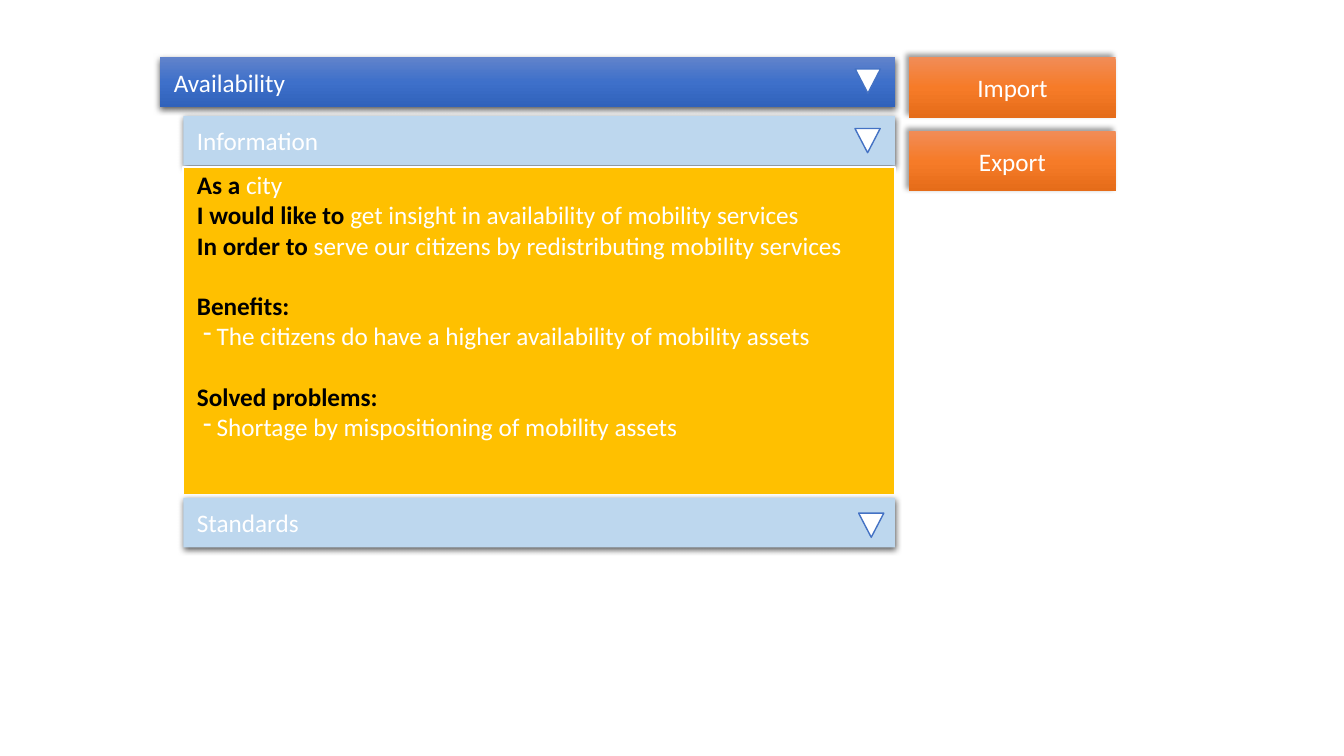
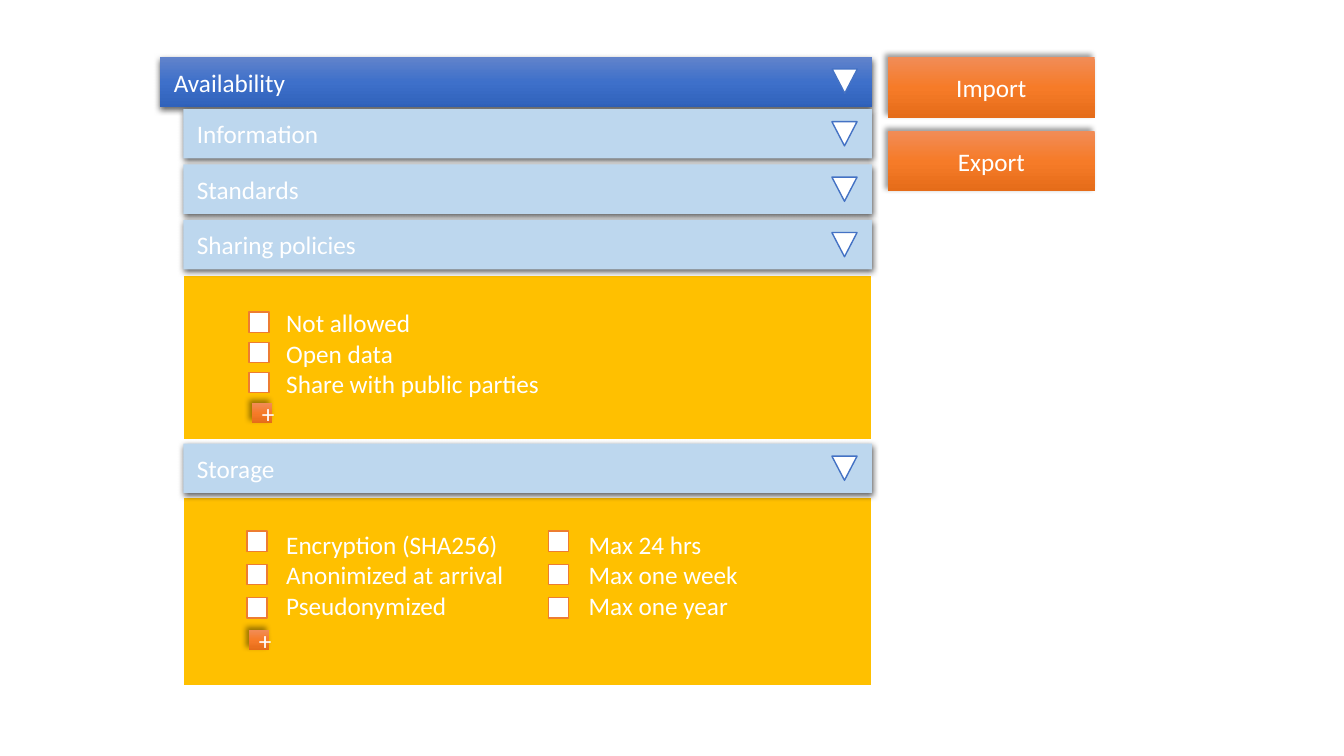
from copy import deepcopy

from lxml import etree
from pptx import Presentation
from pptx.dml.color import RGBColor
from pptx.enum import shapes, text
from pptx.oxml import ns
from pptx.util import Pt

COLORS = {
    "white": "FFFFFF", "black": "000000", "light": "BDD7EE",
    "panel": "FFC000", "blue": "4472C4", "orange": "ED7D31",
}
GRADIENTS = {
    "header": ("6183CB", "3E70CA", "3062BB"),
    "button": ("F18C57", "F67B28", "E56C19"),
}
# Opacity in percent, blur and distance in points, direction in degrees
SHADOWS = {
    "bar": (63, 4.5, 1.5, 90),
    "button": (40, 4, 3, 225),
}
FONT = {"name": "Calibri", "size": Pt(18)}
RECTANGLE = shapes.MSO_SHAPE.RECTANGLE
TRIANGLE = shapes.MSO_SHAPE.ISOSCELES_TRIANGLE
MIDDLE, TOP = text.MSO_ANCHOR.MIDDLE, text.MSO_ANCHOR.TOP

BAR_HEIGHT = 35.3
HEADER_LEFT, HEADER_TOP = 114.5, 41
ITEM_LEFT = 131
TEXT_INSET = 9.7
EDGE_INSET = 1.5
LINE_HEIGHT = 21.6
BUTTON_SIZE = (147.6, 43.2)
BUTTON_PITCH = 52.6
BOX_SIZE = 14.4


def color(name):
    return RGBColor.from_string(COLORS[name])


def add_xml(parent, tag, **attributes):
    return etree.SubElement(parent, ns.qn(tag), attributes)


class Menu:
    """Draws menu elements on the current slide; lengths are in points."""

    def __init__(self, presentation):
        self.presentation = presentation

    def new_slide(self, right):
        layout = self.presentation.slide_layouts[6]
        self.slide = self.presentation.slides.add_slide(layout)
        self.right = right

    def shape(self, kind, left, top, width, height, fill, line=None, weight=1, shadow=None):
        shape = self.slide.shapes.add_shape(kind, Pt(left), Pt(top), Pt(width), Pt(height))
        shape.shadow.inherit = False
        if fill in GRADIENTS:
            self.gradient(shape, GRADIENTS[fill])
        else:
            shape.fill.solid()
            shape.fill.fore_color.rgb = color(fill)
        if line:
            shape.line.color.rgb = color(line)
            shape.line.width = Pt(weight)
        else:
            shape.line.fill.background()
        if shadow:
            self.shadow(shape, *SHADOWS[shadow])
        return shape

    def gradient(self, shape, stops):
        shape.fill.gradient()
        shape.fill.gradient_angle = 270
        stop_list = shape.element.spPr.find(".//" + ns.qn("a:gsLst"))
        stop_list.insert(1, deepcopy(stop_list[0]))
        for index, stop in enumerate(shape.fill.gradient_stops):
            stop.position = index / 2
            stop.color.rgb = RGBColor.from_string(stops[index])

    def shadow(self, shape, opacity, blur, distance, direction):
        effects = shape.element.spPr.find(ns.qn("a:effectLst"))
        outer = add_xml(effects, "a:outerShdw", blurRad=str(Pt(blur)), dist=str(Pt(distance)),
                        dir=str(direction * 60000), algn="ctr", rotWithShape="0")
        shade = add_xml(outer, "a:srgbClr", val=COLORS["black"])
        add_xml(shade, "a:alpha", val=str(opacity * 1000))

    def frame(self, shape, anchor, left=TEXT_INSET, top=EDGE_INSET):
        frame = shape.text_frame
        settings = {
            "word_wrap": True, "vertical_anchor": anchor,
            "margin_left": Pt(left), "margin_top": Pt(top),
            "margin_right": Pt(EDGE_INSET), "margin_bottom": Pt(EDGE_INSET),
        }
        for name, value in settings.items():
            setattr(frame, name, value)
        return frame

    def paragraph(self, frame, first, align=text.PP_ALIGN.LEFT):
        paragraph = frame.paragraphs[0] if first else frame.add_paragraph()
        paragraph.alignment = align
        return paragraph

    def run(self, paragraph, words, ink="white", bold=False):
        run = paragraph.add_run()
        run.text = words
        for name, value in {**FONT, "bold": bold}.items():
            setattr(run.font, name, value)
        run.font.color.rgb = color(ink)

    def bar(self, words, top, left=ITEM_LEFT, fill="light", arrow=(28.6, 9)):
        bar = self.shape(RECTANGLE, left, top, self.right - left, BAR_HEIGHT, fill, shadow="bar")
        self.run(self.paragraph(self.frame(bar, MIDDLE), True), words)
        triangle = self.shape(TRIANGLE, self.right - arrow[0], top + arrow[1], 18, 17.3,
                              "white", "blue")
        triangle.rotation = 180

    def header(self, words):
        self.bar(words, HEADER_TOP, HEADER_LEFT, "header", (28.4, 8.3))

    def button(self, words, left, top, width, height):
        button = self.shape(RECTANGLE, left, top, width, height, "button", shadow="button")
        button.text_frame.vertical_anchor = MIDDLE
        self.run(self.paragraph(button.text_frame, True, text.PP_ALIGN.CENTER), words)

    def actions(self, left):
        for index, words in enumerate(("Import", "Export")):
            self.button(words, left, HEADER_TOP + index * BUTTON_PITCH, *BUTTON_SIZE)

    def panel(self, top, height):
        return self.shape(RECTANGLE, ITEM_LEFT, top, self.right - ITEM_LEFT, height,
                          "panel", "white", 1.5)

    def story(self, top, height, lines):
        frame = self.frame(self.panel(top, height), TOP)
        for index, (label, words, gap) in enumerate(lines):
            paragraph = self.paragraph(frame, index == 0)
            if gap:
                paragraph.space_before = Pt(LINE_HEIGHT)
            if label:
                self.run(paragraph, label, "black", True)
            else:
                properties = paragraph._p.get_or_add_pPr()
                properties.set("marL", str(Pt(14)))
                properties.set("indent", str(Pt(-9.6)))
                add_xml(properties, "a:buChar", char="-")
            if words:
                self.run(paragraph, words)

    def options(self, top, height, rows):
        frame = self.frame(self.panel(top, height), TOP, 73.5, EDGE_INSET + LINE_HEIGHT)
        for index, row in enumerate(rows):
            paragraph = self.paragraph(frame, index == 0)
            tabs = add_xml(paragraph._p.get_or_add_pPr(), "a:tabLst")
            add_xml(tabs, "a:tab", pos=str(Pt(216)), algn="l")
            self.run(paragraph, "\t".join(row))

    def checkboxes(self, left, top, pitch, count=3):
        for index in range(count):
            self.shape(RECTANGLE, left, top + index * pitch, BOX_SIZE, BOX_SIZE,
                       "white", "orange")

    def plus(self, left, top):
        self.button("+", left, top, BOX_SIZE, BOX_SIZE)


presentation = Presentation()
presentation.slide_width, presentation.slide_height = Pt(960), Pt(540)
menu = Menu(presentation)

# Slide 1: information opened
menu.new_slide(right=639.3)
menu.header("Availability")
menu.bar("Information", 82.8)
menu.story(119.5, 234, [
    ("As a ", "city", False),
    ("I would like to ", "get insight in availability of mobility services", False),
    ("In order to ", "serve our citizens by redistributing mobility services", False),
    ("Benefits:", "", True),
    ("", "The citizens do have a higher availability of mobility assets", False),
    ("Solved problems:", "", True),
    ("", "Shortage by mispositioning of mobility assets", False),
])
menu.bar("Standards", 355.7, arrow=(26, 10.8))
menu.actions(649.4)

# Slide 2: sharing policies and storage opened
menu.new_slide(right=622.8)
menu.options(196.6, 118, [["Not allowed"], ["Open data"], ["Share with public parties"]])
menu.options(355, 135.4, [
    ["Encryption (SHA256)", "Max 24 hrs"],
    ["Anonimized at arrival", "Max one week"],
    ["Pseudonymized", "Max one year"],
])
menu.header("Availability")
for index, words in enumerate(("Information", "Standards", "Sharing policies")):
    menu.bar(words, 77.9 + index * 39.6)
menu.bar("Storage", 316.8)
menu.actions(634.3)

# Check boxes and add buttons in the panels
menu.checkboxes(177.8, 223, LINE_HEIGHT)
menu.plus(180, 288)
for left in (176.4, 391.7):
    menu.checkboxes(left, 379.4, 23.8)
menu.plus(177.8, 450)

presentation.save("out.pptx")
